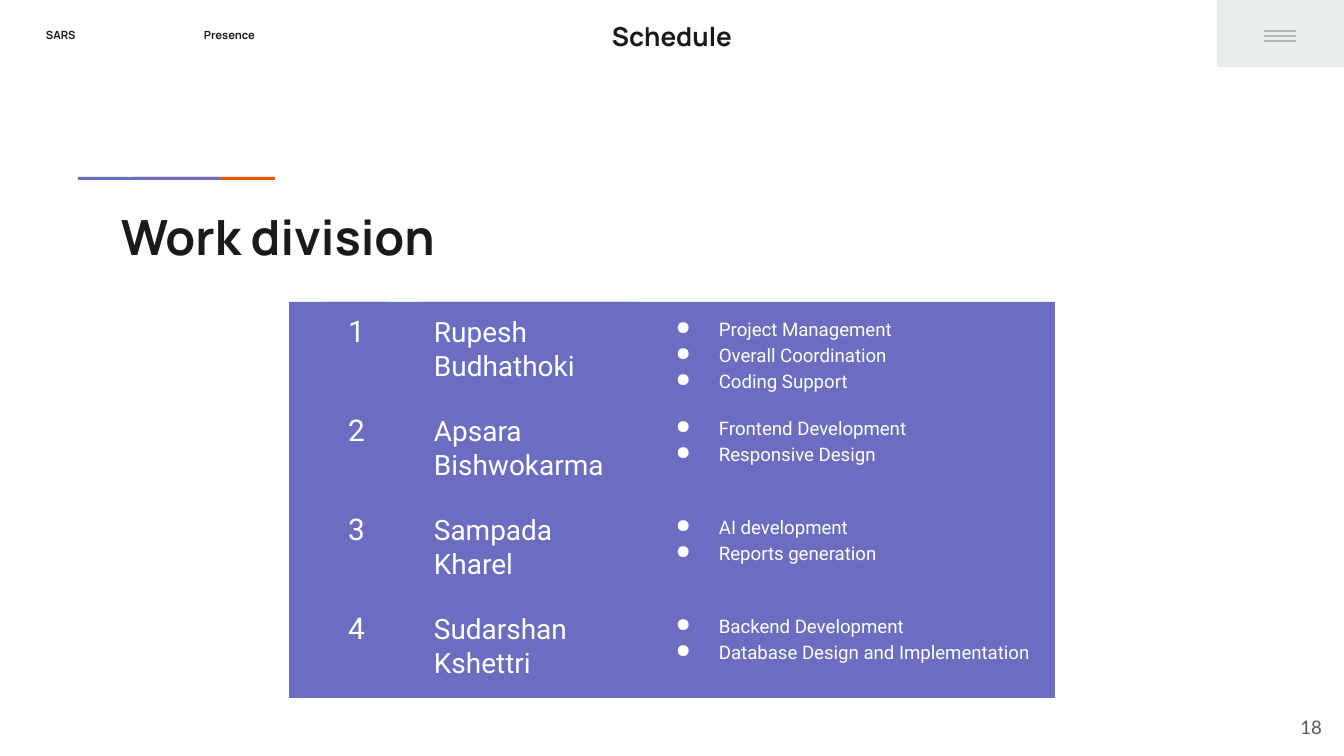
"""Build the work division slide of the schedule section."""
from dataclasses import dataclass

from lxml.etree import SubElement
from pptx import Presentation
from pptx.dml.color import RGBColor
from pptx.enum.shapes import MSO_CONNECTOR, MSO_SHAPE
from pptx.enum.text import MSO_ANCHOR, MSO_AUTO_SIZE, PP_ALIGN
from pptx.oxml.ns import qn
from pptx.util import Pt

PX = 914400 / 134.4


@dataclass(frozen=True)
class Theme:
    ink: str = "1A1A1A"
    white: str = "FFFFFF"
    violet: str = "6C6DC0"
    orange: str = "EB5600"
    mist: str = "E9EDEE"
    rule: str = "B7B7B7"
    gray: str = "595959"
    head: str = "Manrope"
    body: str = "Roboto"
    foot: str = "Lato"
    tiny: int = 6
    small: int = 10
    title: int = 14
    name: int = 15
    digit: int = 16
    big: int = 26


theme = Theme()
deck = Presentation()
deck.slide_width, deck.slide_height = round(1344 * PX), round(756 * PX)
slide = deck.slides.add_slide(deck.slide_layouts[5])
shapes = slide.shapes


def block(left, top, width, height, fill):
    shape = shapes.add_shape(MSO_SHAPE.RECTANGLE, *(round(n * PX) for n in (left, top, width, height)))
    shape.shadow.inherit = False
    shape.fill.solid()
    shape.fill.fore_color.rgb = RGBColor.from_string(fill)
    shape.line.fill.background()
    return shape


def write(shape, lines, face, size, color, bold=False, align=PP_ALIGN.LEFT, anchor=MSO_ANCHOR.TOP):
    frame = shape.text_frame
    frame.word_wrap = True
    frame.auto_size = MSO_AUTO_SIZE.NONE
    frame.vertical_anchor = anchor
    frame.margin_left = frame.margin_right = frame.margin_top = frame.margin_bottom = round(13 * PX)
    for i, line in enumerate(lines):
        para = frame.add_paragraph() if i else frame.paragraphs[0]
        para.alignment = align
        run = para.add_run()
        run.text = line
        font = run.font
        font.name, font.size, font.bold = face, Pt(size), bold
        font.color.rgb = RGBColor.from_string(color)
    return frame.paragraphs


block(132, 177, 143, 3, theme.orange)
block(78, 177, 143, 3, theme.violet)
block(1217, 0, 127, 67, theme.mist)

for y in (31, 36, 41):
    bar = shapes.add_connector(MSO_CONNECTOR.STRAIGHT, *(round(n * PX) for n in (1264, y, 1296, y)))
    bar.line.color.rgb = RGBColor.from_string(theme.rule)
    bar.line.width = Pt(0.75)
    SubElement(bar._element.spPr, qn("a:effectLst"))

title = shapes.title
title.left, title.top, title.width, title.height = 0, 0, deck.slide_width, round(72 * PX)
write(title, ["Schedule"], theme.head, theme.title, theme.ink, True, PP_ALIGN.CENTER, MSO_ANCHOR.MIDDLE)

labels = [
    ("SARS", 33, 12, 147, 47, theme.head, theme.tiny, theme.ink, True, PP_ALIGN.LEFT, MSO_ANCHOR.MIDDLE),
    ("Presence", 191, 12, 309, 47, theme.head, theme.tiny, theme.ink, True, PP_ALIGN.LEFT, MSO_ANCHOR.MIDDLE),
    ("Work division", 108, 194, 360, 82, theme.head, theme.big, theme.ink, True, PP_ALIGN.LEFT, MSO_ANCHOR.TOP),
    ("18", 1255, 698, 80, 58, theme.foot, theme.small, theme.gray, False, PP_ALIGN.RIGHT, MSO_ANCHOR.MIDDLE),
]
for text, left, top, width, height, *style in labels:
    label = shapes.add_textbox(*(round(n * PX) for n in (left, top, width, height)))
    write(label, [text], *style)

team = [
    ("Rupesh Budhathoki", ["Project Management", "Overall Coordination", "Coding Support"]),
    ("Apsara Bishwokarma", ["Frontend Development", "Responsive Design"]),
    ("Sampada Kharel", ["AI development", "Reports generation"]),
    ("Sudarshan Kshettri", ["Backend Development", "Database Design and Implementation"]),
]
pitch = 99
for i, (name, tasks) in enumerate(team):
    top = 302 + i * pitch
    duty = block(639, top, 416, pitch, theme.violet)
    for para in write(duty, tasks, theme.body, theme.small, theme.white):
        props = para._p.get_or_add_pPr()
        props.set("marL", str(round(67 * PX)))
        props.set("indent", str(round(-43 * PX)))
        SubElement(SubElement(props, qn("a:buClr")), qn("a:srgbClr")).set("val", theme.white)
        SubElement(props, qn("a:buChar")).set("char", "●")
        para.line_spacing = 1.15
    block(289, top, 350, pitch, theme.violet)
    digit = block(325, top, 63, 60, theme.violet)
    write(digit, [str(i + 1)], theme.body, theme.digit, theme.white, align=PP_ALIGN.CENTER, anchor=MSO_ANCHOR.BOTTOM)
    person = block(421, top, 218, pitch, theme.violet)
    write(person, [name], theme.body, theme.name, theme.white)

deck.save("out.pptx")
